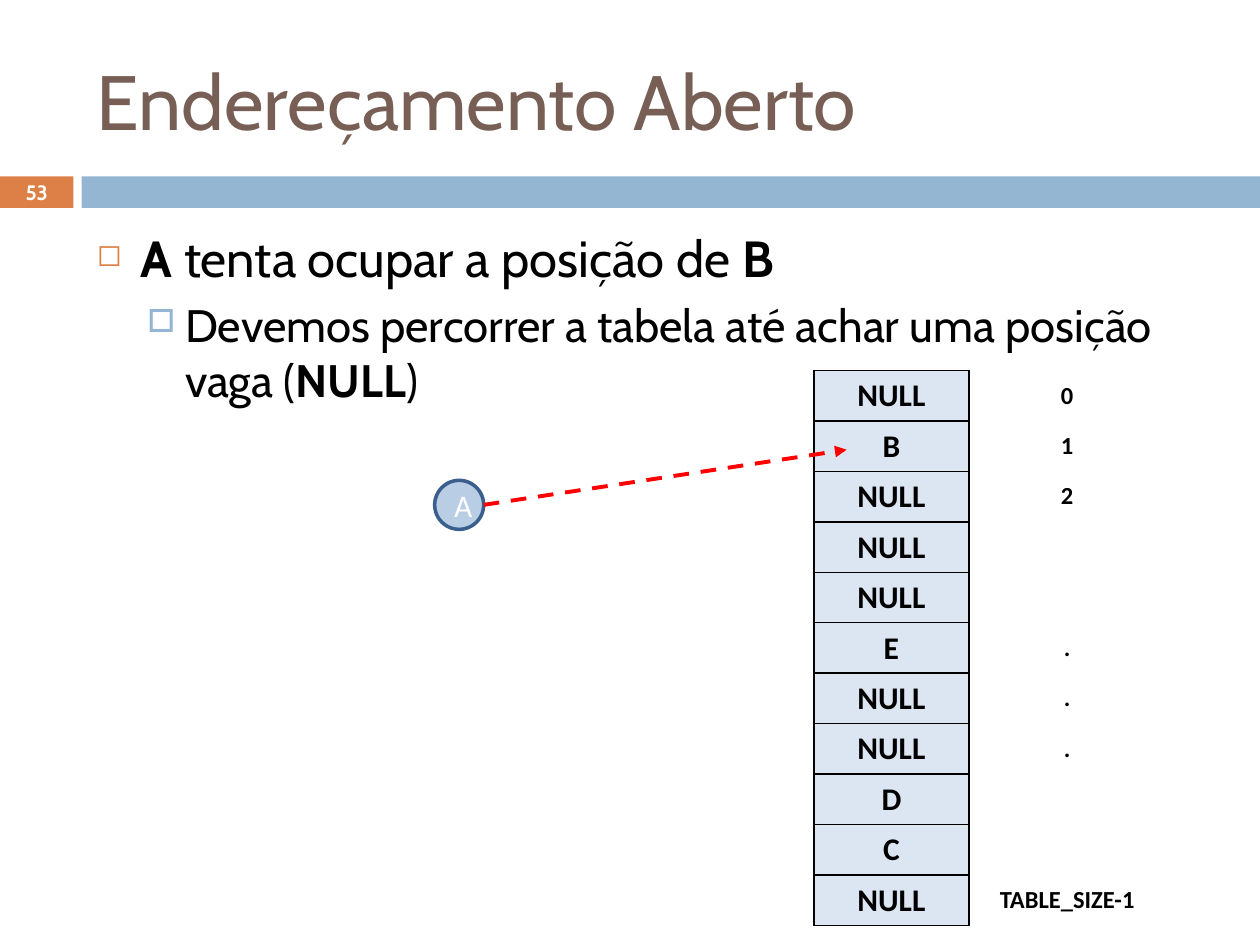
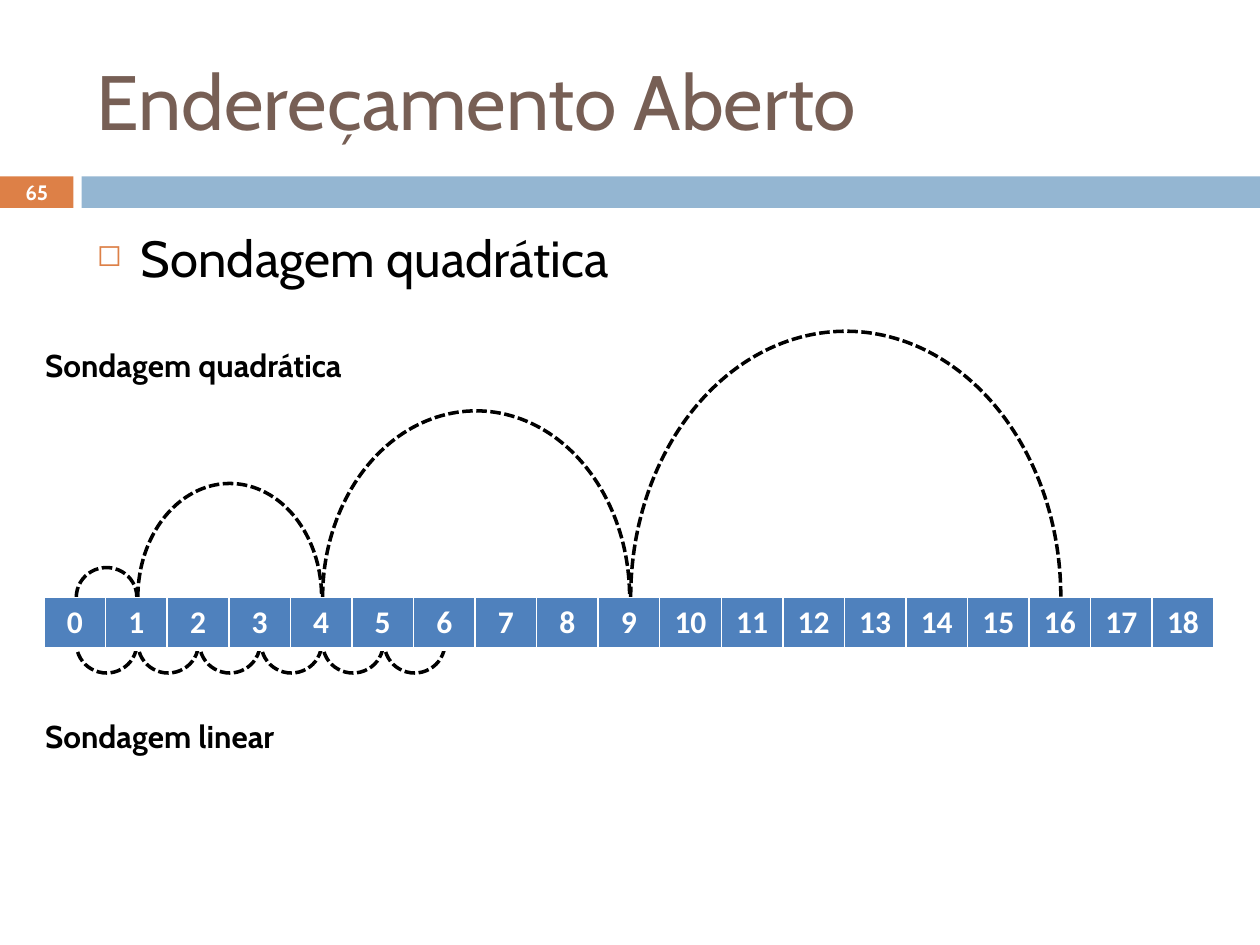
import lxml.etree
import pptx
import pptx.dml.color
import pptx.enum.dml
import pptx.enum.shapes
import pptx.enum.text
import pptx.oxml.ns
import pptx.util

Pt = pptx.util.Pt
qn = pptx.oxml.ns.qn
SHAPES = pptx.enum.shapes.MSO_SHAPE
DASHES = pptx.enum.dml.MSO_LINE
CENTER = pptx.enum.text.PP_ALIGN.CENTER
LEFT = pptx.enum.text.PP_ALIGN.LEFT
MIDDLE = pptx.enum.text.MSO_ANCHOR.MIDDLE
TOP = pptx.enum.text.MSO_ANCHOR.TOP

HEADING_FONT, TABLE_FONT = "Cabin", "Calibri"
BLACK, WHITE, ORANGE, BLUE, BROWN = "000000", "FFFFFF", "DD8047", "94B6D2", "775F55"
TITLE = "Endereçamento Aberto"
TITLE_BOX = (48.24, 18, 642.24, 77.76)
BODY_BOX = (48.24, 126, 642.24, 354.24)
BAND_BOX = (0, 100.8, 720, 18)
LEVELS = [
    {"size": 29, "margin": 25.2, "indent": 25.2, "before": 0, "bullet": "◻", "color": ORANGE, "percent": 60},
    {"size": 26, "margin": 50.4, "indent": 21.6, "before": 5.5, "bullet": "□", "color": BLUE, "percent": 70},
]
HASH_ROWS = [
    ("NULL", "0"), ("B", "1"), ("NULL", "2"), ("NULL", ""), ("NULL", ""), ("E", "."),
    ("NULL", "."), ("NULL", "."), ("D", ""), ("C", ""), ("NULL", "TABLE_SIZE-1"),
]
QUADRATIC_HEIGHTS = [34, 130, 213, 304]
LINEAR_HOPS = 6
HOP_SIZE = 34


def rgb(color):
    """Turn a hex string into a colour."""
    return pptx.dml.color.RGBColor.from_string(color)


def points(*lengths):
    """Turn numbers into lengths in points."""
    return [Pt(length) for length in lengths]


def add_element(parent, tag, **attributes):
    """Append a drawing element to a parent element."""
    return lxml.etree.SubElement(parent, qn(tag), attributes)


def format_run(run, size, color, font=HEADING_FONT, bold=False):
    """Set the font of one run."""
    run.font.name = font
    run.font.size = Pt(size)
    run.font.bold = bold
    run.font.color.rgb = rgb(color)


def write(text_frame, text, size, color, font=HEADING_FONT, bold=False, align=LEFT):
    """Fill a frame with one uniformly formatted paragraph."""
    text_frame.text = text
    paragraph = text_frame.paragraphs[0]
    paragraph.alignment = align
    for run in paragraph.runs:
        format_run(run, size, color, font, bold)


def add_label(slide, box, text, size, color, bold=False, align=LEFT, anchor=TOP):
    """Add a wrapping text box."""
    text_frame = slide.shapes.add_textbox(*points(*box)).text_frame
    text_frame.word_wrap = True
    text_frame.vertical_anchor = anchor
    write(text_frame, text, size, color, bold=bold, align=align)


def add_figure(slide, kind, box, fill=None, line=None, width=2, dash=None):
    """Add a preset shape with optional fill and outline."""
    shape = slide.shapes.add_shape(kind, *points(*box))
    shape.shadow.inherit = False
    if fill:
        shape.fill.solid()
        shape.fill.fore_color.rgb = rgb(fill)
    else:
        shape.fill.background()
    if line:
        shape.line.color.rgb = rgb(line)
        shape.line.width = Pt(width)
        shape.line.dash_style = dash
    else:
        shape.line.fill.background()
    return shape


def add_band(slide, box, number):
    """Draw the numbered tab and the band beside it."""
    left, top, width, height = box
    tab_width, band_offset = 42, 46.6
    add_figure(slide, SHAPES.RECTANGLE, (left, top, tab_width, height), ORANGE)
    add_figure(slide, SHAPES.RECTANGLE, (left + band_offset, top, width - band_offset, height), BLUE)
    add_label(slide, (left, top - 0.7, tab_width, height + 1.4), str(number), 11.9, WHITE, True, CENTER, MIDDLE)


def add_body(slide, box, items):
    """Write bulleted paragraphs from (level, [(text, bold)]) items."""
    text_frame = slide.shapes.add_textbox(*points(*box)).text_frame
    text_frame.word_wrap = True
    for index, (level, pieces) in enumerate(items):
        style = LEVELS[level]
        paragraph = text_frame.add_paragraph() if index else text_frame.paragraphs[0]
        paragraph.level = level
        paragraph.space_before = Pt(style["before"])
        properties = paragraph._p.get_or_add_pPr()
        properties.set("marL", str(Pt(style["margin"])))
        properties.set("indent", str(-Pt(style["indent"])))
        bullet_color = add_element(properties, "a:buClr")
        add_element(bullet_color, "a:srgbClr", val=style["color"])
        add_element(properties, "a:buSzPct", val=str(style["percent"] * 1000))
        add_element(properties, "a:buChar", char=style["bullet"])
        for text, bold in pieces:
            run = paragraph.add_run()
            run.text = text
            format_run(run, style["size"], BLACK, bold=bold)


def start_slide(presentation, number, items):
    """Add a slide with its band, title and body."""
    slide = presentation.slides.add_slide(presentation.slide_layouts[6])
    add_band(slide, BAND_BOX, number)
    add_label(slide, TITLE_BOX, TITLE, 44, BROWN, anchor=MIDDLE)
    add_body(slide, BODY_BOX, items)
    return slide


def add_grid(slide, box, row_count, column_widths):
    """Add a plain table with equal rows."""
    shape = slide.shapes.add_table(row_count, len(column_widths), *points(*box))
    table = shape.table
    table.first_row = table.horz_banding = False
    for column, width in zip(table.columns, column_widths):
        column.width = Pt(width)
    for row in table.rows:
        row.height = Pt(box[3] / row_count)
    return table


def fill_cell(cell, text, size, color, fill, borders, anchor=MIDDLE):
    """Write a cell and draw its borders, given as side: (colour, width)."""
    write(cell.text_frame, text, size, color, TABLE_FONT, True, CENTER)
    cell.vertical_anchor = anchor
    properties = cell._tc.get_or_add_tcPr()
    for side in "LRTB":
        color, width = borders.get(side, (None, 0))
        border = add_element(properties, f"a:ln{side}", w=str(Pt(width)))
        if color:
            border_fill = add_element(border, "a:solidFill")
            add_element(border_fill, "a:srgbClr", val=color)
        else:
            add_element(border, "a:noFill")
    cell.fill.solid()
    cell.fill.fore_color.rgb = rgb(fill)


def add_hash_table(slide, box):
    """Draw the hash table with its index column."""
    value_width = 88.56
    table = add_grid(slide, box, len(HASH_ROWS), [value_width, box[2] - value_width])
    black_line = (BLACK, 1)
    for row, (value, position) in enumerate(HASH_ROWS):
        fill_cell(table.cell(row, 0), value, 18, BLACK, "DCE6F2", dict.fromkeys("LRTB", black_line), TOP)
        fill_cell(table.cell(row, 1), position, 14, BLACK, WHITE, {"L": black_line})


def add_new_key(slide, box, target):
    """Draw key A and the dashed arrow to the slot it wants."""
    left, top, width, height = box
    key = add_figure(slide, SHAPES.OVAL, box, "B9CDE5", "3A5F8C")
    key.text_frame.vertical_anchor = MIDDLE
    write(key.text_frame, "A", 18, WHITE, TABLE_FONT, align=CENTER)
    arrow = slide.shapes.add_connector(
        pptx.enum.shapes.MSO_CONNECTOR.STRAIGHT, *points(left + width, top + height / 2, *target))
    arrow.line.color.rgb = rgb("FF0000")
    arrow.line.width = Pt(2.25)
    arrow.line.dash_style = DASHES.DASH
    add_element(arrow.line._get_or_add_ln(), "a:tailEnd", type="triangle")
    add_element(arrow._element.spPr, "a:effectLst")


def add_probing(slide, box, cell_count):
    """Draw the numbered cells with quadratic hops above and linear hops below."""
    left, top, width, height = box
    pitch = width / cell_count

    def add_hop(start, steps, hop_height, middle):
        """Draw one hop between cell centres."""
        hop_left = left + pitch * (start + 0.5) + 0.8
        hop_box = (hop_left, middle - hop_height / 2, pitch * steps - 0.6, hop_height)
        add_figure(slide, SHAPES.OVAL, hop_box, line=BLACK, dash=DASHES.SQUARE_DOT)

    for root, hop_height in enumerate(QUADRATIC_HEIGHTS):
        add_hop(root ** 2, 2 * root + 1, hop_height, top)
    add_figure(slide, SHAPES.RECTANGLE, (left - 11, top + 16.6, width + 23, 165), WHITE)
    for start in range(LINEAR_HOPS):
        add_hop(start, 1, HOP_SIZE, top + 26.3)

    table = add_grid(slide, box, 1, [pitch] * cell_count)
    borders = {**dict.fromkeys("LRT", (WHITE, 1)), "B": (WHITE, 3)}
    for position in range(cell_count):
        fill_cell(table.cell(0, position), str(position), 18, WHITE, "4F81BD", borders)
    for text, offset in (("Sondagem linear", 64.8), ("Sondagem quadrática", -146.9)):
        add_label(slide, (left - 6.5, top + offset, 200.9, 28.8), text, 18, BLACK, True)


def build_collision_slide(presentation):
    """Build the slide on the collision between A and B."""
    slide = start_slide(presentation, 53, [
        (0, [("A", True), (" tenta ocupar a posição de ", False), ("B", True)]),
        (1, [("Devemos percorrer a tabela até achar uma posição vaga (", False), ("NULL", True), (")", False)]),
    ])
    add_hash_table(slide, (465.12, 211.7, 200.88, 316.8))
    add_new_key(slide, (248.4, 274.5, 28, 28), (483.8, 257))


def build_probing_slide(presentation):
    """Build the slide comparing quadratic and linear probing."""
    slide = start_slide(presentation, 65, [(0, [("Sondagem quadrática", False)])])
    add_probing(slide, (25.2, 341.3, 668.8, 29.5), 19)


def main():
    """Build and save the presentation."""
    presentation = pptx.Presentation()
    presentation.slide_width, presentation.slide_height = points(720, 540)
    build_collision_slide(presentation)
    build_probing_slide(presentation)
    presentation.save("out.pptx")


if __name__ == "__main__":
    main()
